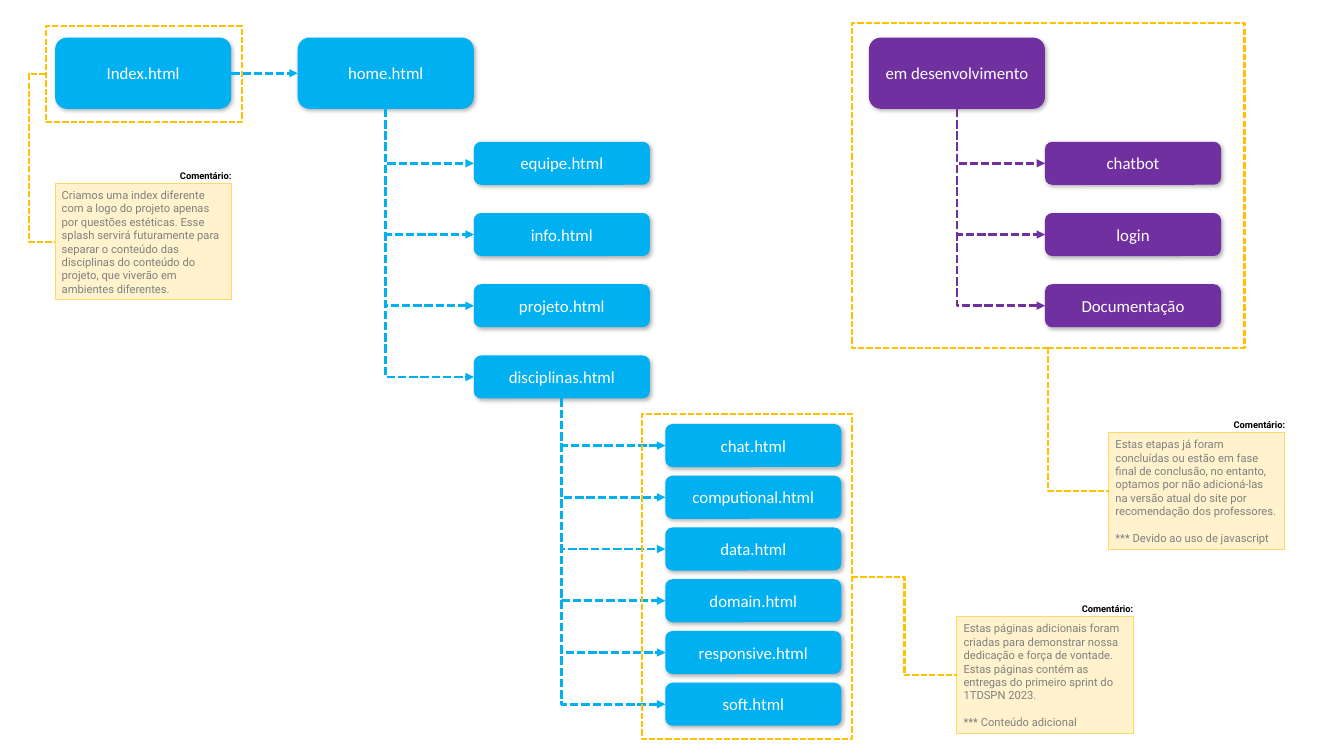
from lxml import etree
from pptx import Presentation
from pptx import util as u
from pptx.dml.color import RGBColor
from pptx.enum import dml, shapes, text
from pptx.oxml.ns import qn

BLUE, PURPLE, GOLD = "00B0F0", "7030A0", "FFC000"
LEFT, BOTTOM, RIGHT = 1, 2, 3
NODE_W, TOP_H, PAGE_H = 2.62, 1.06, 0.64


def rgb(value):
    """Turn a hex string into a colour."""
    return RGBColor.from_string(value)


def add_effects(sp, shadow=False):
    """Give a shape its own effect list, with a soft shadow if asked."""
    effects = etree.SubElement(sp._element.spPr, qn("a:effectLst"))
    if shadow:
        outer = etree.SubElement(effects, qn("a:outerShdw"), blurRad=str(u.Pt(4.5)),
                                 dist=str(u.Pt(2.6)), dir=str(53 * 60000), algn="tl", rotWithShape="0")
        color = etree.SubElement(outer, qn("a:srgbClr"), val="000000")
        etree.SubElement(color, qn("a:alpha"), val="30000")


def style_line(line, color, width, dashed=True):
    """Set colour, width and dash of a line."""
    line.color.rgb = rgb(color)
    line.width = u.Pt(width)
    if dashed:
        line.dash_style = dml.MSO_LINE.SQUARE_DOT


def write(p, words, **fmt):
    """Add one formatted run to a paragraph."""
    r = p.add_run()
    r.text = words
    r.font.color.rgb = rgb(fmt.pop("color"))
    for name, value in fmt.items():
        setattr(r.font, name, value)


def add_box(slide, kind, x, y, w, h, fill=None):
    """Draw a preset shape, filled or open."""
    sp = slide.shapes.add_shape(kind, *map(u.Inches, (x, y, w, h)))
    if fill:
        sp.fill.solid()
        sp.fill.fore_color.rgb = rgb(fill)
    else:
        sp.fill.background()
    return sp


def add_node(slide, x, y, h, label, color):
    """Draw one page of the site map."""
    sp = add_box(slide, shapes.MSO_SHAPE.ROUNDED_RECTANGLE, x, y, NODE_W, h, color)
    sp.line.fill.background()
    add_effects(sp, shadow=True)
    sp.text_frame.vertical_anchor = text.MSO_ANCHOR.MIDDLE
    p = sp.text_frame.paragraphs[0]
    p.alignment = text.PP_ALIGN.CENTER
    write(p, label, color="FFFFFF", name="Calibri", size=u.Pt(18))
    return sp


def add_frame(slide, x, y, w, h):
    """Draw a dashed frame around a group of pages."""
    sp = add_box(slide, shapes.MSO_SHAPE.RECTANGLE, x, y, w, h)
    style_line(sp.line, GOLD, 2.25)
    sp.shadow.inherit = False
    return sp


def add_text(slide, x, y, w, h, wrap):
    """Add a text box that grows with its text."""
    tf = slide.shapes.add_textbox(*map(u.Inches, (x, y, w, h))).text_frame
    tf.word_wrap = wrap
    tf.auto_size = text.MSO_AUTO_SIZE.SHAPE_TO_FIT_TEXT
    return tf


def add_comment(slide, x, y, paragraphs, footnote=None):
    """Draw a comment note with its heading."""
    sp = add_box(slide, shapes.MSO_SHAPE.RECTANGLE, x, y, NODE_W, 1.73, "FFF2CC")
    style_line(sp.line, "FFD966", 1, dashed=False)
    sp.shadow.inherit = False
    heading = add_text(slide, x + 1.76, y - 0.25, 0.97, 0.27, False)
    write(heading.paragraphs[0], "Comentário:", color="000000", name="Roboto", size=u.Pt(10), bold=True)
    tf = add_text(slide, x, y + 0.02, NODE_W, 1.72, True)
    for i, words in enumerate(paragraphs + ([footnote] if footnote else [])):
        p = tf.add_paragraph() if i else tf.paragraphs[0]
        if words == footnote:
            p.space_before = u.Pt(14)
        write(p, words, color="808080", name="Roboto", size=u.Pt(12))
    return sp


def side(sp, site):
    """Return the middle point of one side of a shape."""
    cx, cy = sp.left + sp.width // 2, sp.top + sp.height // 2
    return {LEFT: (sp.left, cy), BOTTOM: (cx, sp.top + sp.height), RIGHT: (sp.left + sp.width, cy)}[site]


def link(slide, start, site, end, color, width=3, arrow=True, kind="ELBOW"):
    """Connect a side of one shape to the left side of another."""
    (x0, y0), (x1, y1) = side(start, site), side(end, LEFT)
    cxn = slide.shapes.add_connector(getattr(shapes.MSO_CONNECTOR, kind), x0, y0, x1, y1)
    cxn.begin_connect(start, site)
    cxn.end_connect(end, LEFT)
    style_line(cxn.line, color, width)
    if arrow:
        etree.SubElement(cxn.line._get_or_add_ln(), qn("a:tailEnd"), type="triangle")
    add_effects(cxn)
    return cxn


def link_down(slide, start, end, color, **fmt):
    """Connect down from one shape, then right to another."""
    cxn = link(slide, start, BOTTOM, end, color, **fmt)
    (x0, y0), (x1, y1) = side(start, BOTTOM), side(end, LEFT)
    dx, dy = x1 - x0, y1 - y0
    cxn.left, cxn.top = (x0 + x1 - dy) // 2, (y0 + y1 - dx) // 2
    cxn.width, cxn.height = dy, dx
    spPr = cxn._element.spPr
    spPr.find(qn("a:prstGeom")).set("prst", "bentConnector2")
    xfrm = spPr.find(qn("a:xfrm"))
    xfrm.set("rot", str(270 * 60000))
    xfrm.set("flipH", "1")


def link_side(slide, start, site, end, bend):
    """Connect a frame to its comment, turning at the given x."""
    cxn = link(slide, start, site, end, GOLD, width=2.25, arrow=False)
    ratio = (u.Inches(bend) - side(start, site)[0]) / cxn.width
    guides = cxn._element.spPr.find(qn("a:prstGeom")).get_or_add_avLst()
    etree.SubElement(guides, qn("a:gd"), name="adj1", fmla=f"val {round(ratio * 100000)}")


def add_branch(slide, parent, x, y, step, labels, color):
    """Draw a column of pages linked to their parent."""
    nodes = [add_node(slide, x, y + i * step, PAGE_H, label, color) for i, label in enumerate(labels)]
    for node in nodes:
        link_down(slide, parent, node, color)
    return nodes


def main():
    """Build the site map slide."""
    prs = Presentation()
    prs.slide_width, prs.slide_height = u.Inches(20), u.Inches(11.25)
    slide = prs.slides.add_slide(prs.slide_layouts[6])

    index = add_node(slide, 0.82, 0.56, TOP_H, "Index.html", BLUE)
    home = add_node(slide, 4.43, 0.56, TOP_H, "home.html", BLUE)
    link(slide, index, RIGHT, home, BLUE, kind="STRAIGHT")
    pages = add_branch(slide, home, 7.05, 2.11, 1.06,
                       ["equipe.html", "info.html", "projeto.html", "disciplinas.html"], BLUE)
    add_branch(slide, pages[-1], 9.9, 6.31, 0.77,
               ["chat.html", "computional.html", "data.html", "domain.html",
                "responsive.html", "soft.html"], BLUE)
    upcoming = add_node(slide, 12.93, 0.56, TOP_H, "em desenvolvimento", PURPLE)
    add_branch(slide, upcoming, 15.55, 2.11, 1.06, ["chatbot", "login", "Documentação"], PURPLE)

    index_note = add_comment(slide, 0.82, 2.73, [
        "Criamos uma index diferente com a logo do projeto apenas por questões estéticas. "
        "Esse splash servirá futuramente para separar o conteúdo das disciplinas do conteúdo "
        "do projeto, que viverão em ambientes diferentes."])
    link_side(slide, add_frame(slide, 0.68, 0.39, 2.92, 1.43), LEFT, index_note, 0.43)

    extra_note = add_comment(slide, 14.24, 9.18, [
        "Estas páginas adicionais foram criadas para demonstrar nossa dedicação e força de vontade.",
        "Estas páginas contém as entregas do primeiro sprint do 1TDSPN 2023."],
        "*** Conteúdo adicional")
    link_side(slide, add_frame(slide, 9.55, 6.16, 3.13, 4.84), RIGHT, extra_note, 13.46)

    upcoming_note = add_comment(slide, 16.5, 6.44, [
        "Estas etapas já foram concluídas ou estão em fase final de conclusão, no entanto, "
        "optamos por não adicioná-las na versão atual do site por recomendação dos professores."],
        "*** Devido ao uso de javascript")
    link_down(slide, add_frame(slide, 12.68, 0.34, 5.84, 4.84), upcoming_note, GOLD,
              width=2.25, arrow=False)

    prs.save("out.pptx")


main()
